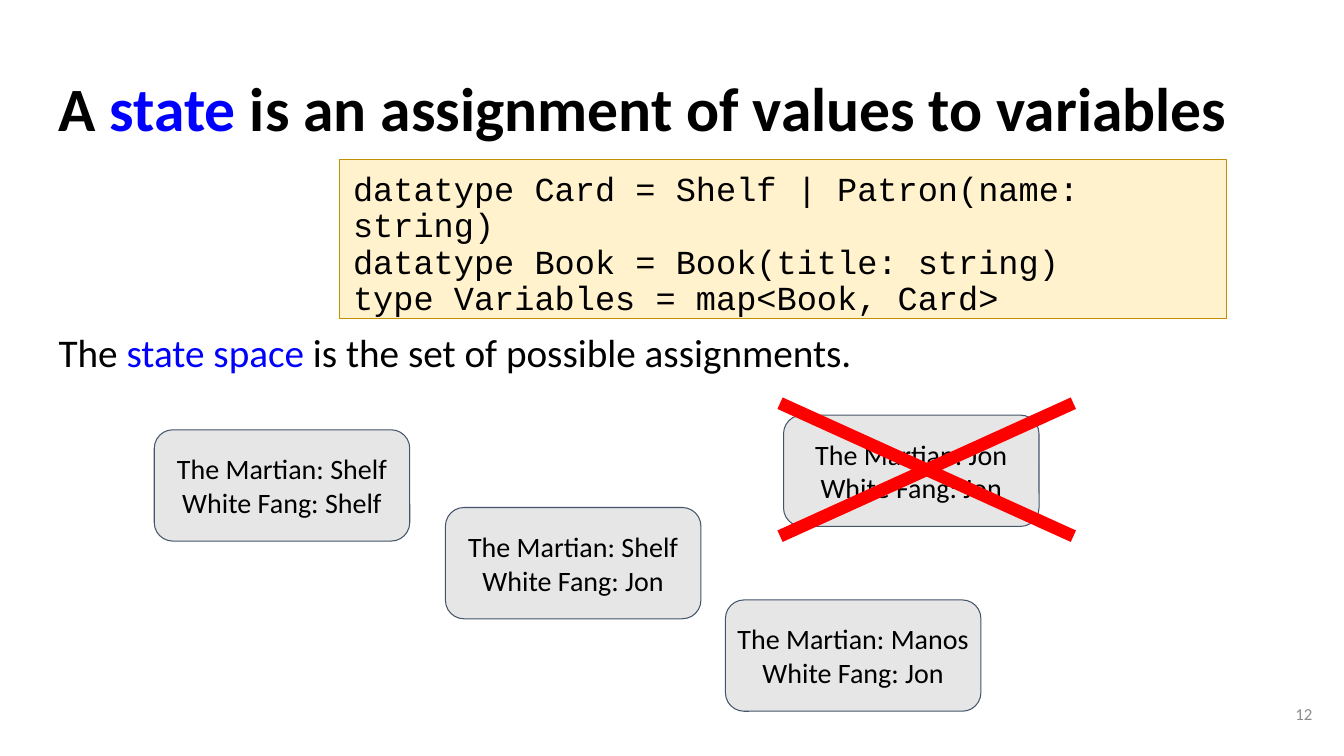
import dataclasses

import pptx
import pptx.dml.color
import pptx.enum.shapes
import pptx.enum.text
import pptx.oxml.ns
import pptx.util
import lxml.etree

Pt = pptx.util.Pt
ALIGN = pptx.enum.text.PP_ALIGN
ANCHOR = pptx.enum.text.MSO_ANCHOR
SHAPES = pptx.enum.shapes.MSO_SHAPE


@dataclasses.dataclass(frozen=True)
class Theme:
    sans: str = "Calibri"
    mono: str = "Courier New"
    ink: str = "000000"
    term: str = "0000FF"
    muted: str = "8C8C8C"
    state_fill: str = "E7E6E6"
    state_line: str = "44546A"
    code_fill: str = "FFF2CC"
    code_line: str = "BF9000"
    cross: str = "FF0000"
    title_size: float = 44
    body_size: float = 28
    code_size: float = 24
    state_size: float = 20
    number_size: float = 12
    hairline: float = 0.75
    cross_width: float = 9
    inset: float = 9.4


THEME = Theme()


# Shared helpers
def rgb(value):
    return pptx.dml.color.RGBColor.from_string(value)


def set_all(target, values):
    for name, value in values.items():
        setattr(target, name, value)


def place(shape, box):
    set_all(shape, dict(zip(("left", "top", "width", "height"), map(Pt, box))))


def paint(shape, fill, line):
    shape.fill.solid()
    shape.fill.fore_color.rgb = rgb(fill)
    shape.line.color.rgb = rgb(line)
    shape.line.width = Pt(THEME.hairline)


def write(shape, spans, size, font=THEME.sans, bold=False, inset=THEME.inset,
          anchor=ANCHOR.TOP, **layout):
    """Write (text, colour) spans as one paragraph; newlines become breaks."""
    frame = shape.text_frame
    sides = ("margin_left", "margin_top", "margin_right", "margin_bottom")
    set_all(frame, dict.fromkeys(sides, Pt(inset)))
    set_all(frame, {"word_wrap": True, "vertical_anchor": anchor,
                    "auto_size": pptx.enum.text.MSO_AUTO_SIZE.NONE})
    para = frame.paragraphs[0]
    set_all(para, {"alignment": ALIGN.LEFT, "space_before": Pt(0), **layout})
    for text, color in spans:
        for index, line in enumerate(text.split("\n")):
            if index:
                para.add_line_break()
            span = para.add_run()
            span.text = line
            set_all(span.font, {"name": font, "size": Pt(size), "bold": bold})
            span.font.color.rgb = rgb(color)
    return para


def remove_bullet(para):
    properties = para._p.get_or_add_pPr()
    properties.set("marL", "0")
    properties.set("indent", "0")
    lxml.etree.SubElement(properties, pptx.oxml.ns.qn("a:buNone"))


# Text regions
def add_title(page, box):
    title = page.shapes.title
    place(title, box)
    write(title, [("A ", THEME.ink), ("state", THEME.term),
                  (" is an assignment of values to variables", THEME.ink)],
          THEME.title_size, bold=True, line_spacing=0.9)


def add_statement(page, box):
    body = page.placeholders[1]
    place(body, box)
    remove_bullet(write(
        body, [("The ", THEME.ink), ("state space", THEME.term),
               (" is the set of possible assignments.", THEME.ink)],
        THEME.body_size, line_spacing=0.9))


def add_code(page, box):
    code = page.placeholders[2]
    place(code, box)
    paint(code, THEME.code_fill, THEME.code_line)
    text = ("datatype Card = Shelf | Patron(name: string)\n"
            "datatype Book = Book(title: string)\n"
            "type Variables = map<Book, Card>")
    remove_bullet(write(code, [(text, THEME.ink)], THEME.code_size,
                        font=THEME.mono, line_spacing=0.9))


def add_page_number(page, box):
    number = page.shapes.add_textbox(*map(Pt, box))
    write(number, [("12", THEME.muted)], THEME.number_size,
          anchor=ANCHOR.MIDDLE, alignment=ALIGN.RIGHT)


# State space: four states, one of them ruled out
def add_state(page, box, martian, fang):
    state = page.shapes.add_shape(SHAPES.ROUNDED_RECTANGLE, *map(Pt, box))
    state.adjustments[0] = 0.167
    state.shadow.inherit = False
    paint(state, THEME.state_fill, THEME.state_line)
    write(state, [(f"The Martian: {martian}\nWhite Fang: {fang}", THEME.ink)],
          THEME.state_size, inset=0, anchor=ANCHOR.MIDDLE,
          alignment=ALIGN.CENTER)


def add_cross(page, box):
    left, top, width, height = box
    right, bottom = left + width, top + height
    cross = page.shapes.add_group_shape()
    for ends in ((left, top, right, bottom), (right, top, left, bottom)):
        stroke = cross.shapes.add_connector(
            pptx.enum.shapes.MSO_CONNECTOR.STRAIGHT, *map(Pt, ends))
        stroke.line.color.rgb = rgb(THEME.cross)
        stroke.line.width = Pt(THEME.cross_width)
        lxml.etree.SubElement(stroke._element.spPr,
                              pptx.oxml.ns.qn("a:effectLst"))


def add_state_space(page, box):
    left, top = box[:2]
    width, height = 182.5, 79.5
    states = [(0, 10.5, "Shelf", "Shelf"), (208, 66, "Shelf", "Jon"),
              (449.5, 0, "Jon", "Jon"), (408, 132, "Manos", "Jon")]
    for across, down, martian, fang in states:
        add_state(page, (left + across, top + down, width, height),
                  martian, fang)
    add_cross(page, (left + 447, top - 8.5, 209.5, 95))


def add_state_slide(deck):
    page = deck.slides.add_slide(deck.slide_layouts.get_by_name("Two Content"))
    add_title(page, (32.4, 46.8, 894.2, 60.5))
    add_statement(page, (32.4, 229, 894.2, 262.8))
    add_state_space(page, (110.2, 296.5, 656.5, 211.5))
    add_code(page, (242.8, 113.8, 633.4, 114))
    add_page_number(page, (889.2, 489.6, 57.6, 41))


def main():
    deck = pptx.Presentation()
    set_all(deck, {"slide_width": Pt(960), "slide_height": Pt(540)})
    add_state_slide(deck)
    deck.save("out.pptx")


if __name__ == "__main__":
    main()
